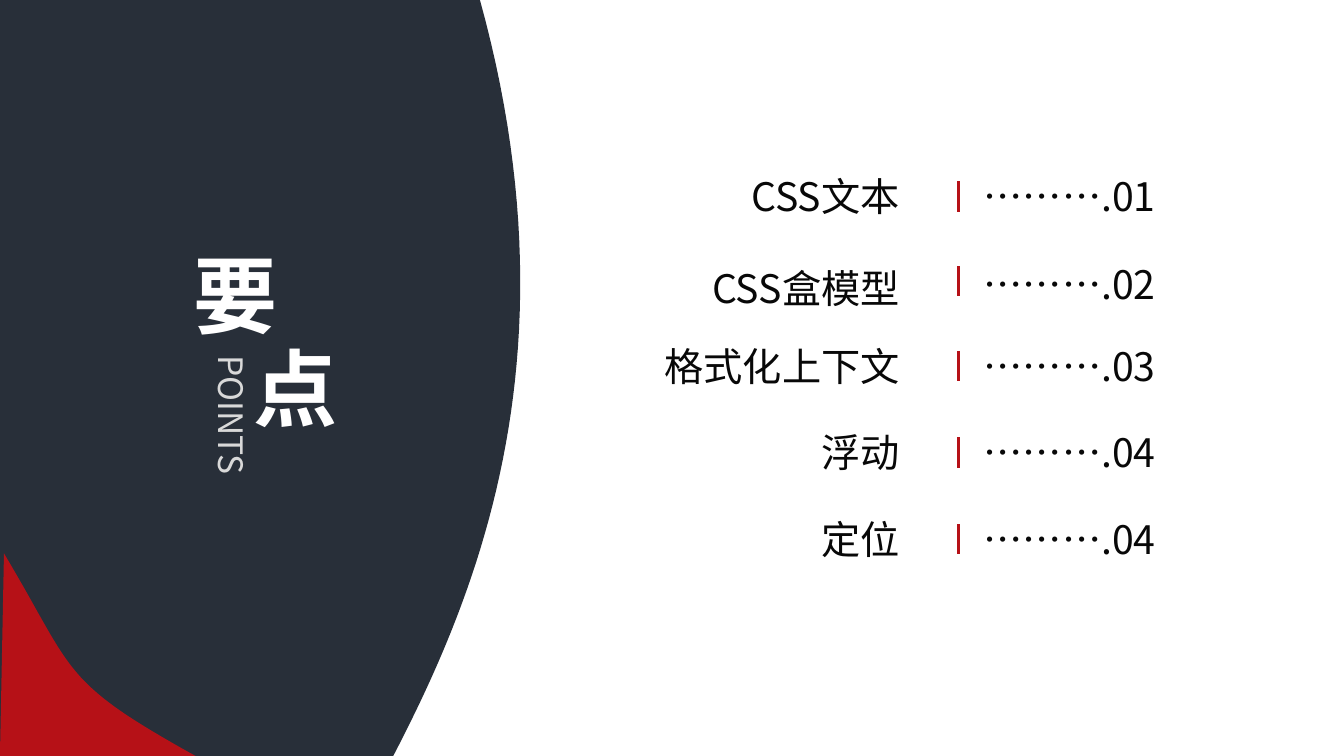
import pptx
import pptx.util
import pptx.dml.color
import pptx.enum.shapes
import pptx.enum.text
import pptx.oxml
import pptx.oxml.ns
from pptx.util import Inches

COLORS = {
    "paper": "FFFFFF",
    "navy": "282F39",
    "red": "B61117",
    "ink": "080808",
    "grey": "D9D9D9",
}
FONT = "Noto Sans CJK SC"
ALIGN = pptx.enum.text.PP_ALIGN

LABEL_RIGHT = 9.02
BAR_X = 9.51
BAR_LENGTH = 0.3
# label, number, label left, label top, bar top, number top
POINTS = [
    ("CSS文本", "01", 6.04, 1.66, 1.8, 1.66),
    ("CSS盒模型", "02", 6.45, 2.57, 2.64, 2.53),
    ("格式化上下文", "03", 4.81, 3.35, 3.48, 3.35),
    ("浮动", "04", 6.04, 4.2, 4.34, 4.2),
    ("定位", "04", 6.04, 5.06, 5.2, 5.06),
]


def color(name):
    return pptx.dml.color.RGBColor.from_string(COLORS[name])


def curve(start, control_a, control_b, end, steps=48):
    """Return points along a cubic Bezier curve, without its start."""
    points = []
    for step in range(1, steps + 1):
        t = step / steps
        weights = ((1 - t) ** 3, 3 * t * (1 - t) ** 2, 3 * t * t * (1 - t), t ** 3)
        corners = (start, control_a, control_b, end)
        points.append(tuple(
            sum(weight * corner[axis] for weight, corner in zip(weights, corners))
            for axis in (0, 1)
        ))
    return points


def add_panel(page, points, fill):
    vertices = [(Inches(x), Inches(y)) for x, y in points]
    builder = page.shapes.build_freeform(*vertices[0])
    builder.add_line_segments(vertices[1:], close=True)
    panel = builder.convert_to_shape()
    panel.shadow.inherit = False
    panel.fill.solid()
    panel.fill.fore_color.rgb = color(fill)
    panel.line.fill.background()


def write(box, text, size, ink, align=ALIGN.LEFT, bold=False, wrap=True):
    frame = box.text_frame
    frame_format = {
        "word_wrap": wrap,
        "auto_size": pptx.enum.text.MSO_AUTO_SIZE.SHAPE_TO_FIT_TEXT,
        "vertical_anchor": pptx.enum.text.MSO_ANCHOR.TOP,
    }
    for name, value in frame_format.items():
        setattr(frame, name, value)
    para = frame.paragraphs[0]
    para.alignment = align
    span = para.add_run()
    span.text = text
    span_format = {"name": FONT, "size": pptx.util.Pt(size), "bold": bold}
    for name, value in span_format.items():
        setattr(span.font, name, value)
    span.font.color.rgb = color(ink)
    properties = span.font._element
    properties.set("lang", "zh-CN")
    east_asian = pptx.oxml.parse_xml(
        f'<a:ea {pptx.oxml.ns.nsdecls("a")} typeface="{FONT}"/>')
    properties.find(pptx.oxml.ns.qn("a:latin")).addnext(east_asian)
    return span


def add_text(page, place, *content, **style):
    box = page.shapes.add_textbox(*map(Inches, place))
    write(box, *content, **style)
    return box


def place_title(page, place, text):
    title = page.shapes.title
    for name, value in zip(("left", "top", "width", "height"), place):
        setattr(title, name, Inches(value))
    span = write(title, text, 60, "paper", bold=True)
    span.font._element.set("spc", "400")
    page.shapes._spTree.append(title._element)  # bring in front of the panels


def add_bar(page, top):
    bar = page.shapes.add_connector(
        pptx.enum.shapes.MSO_CONNECTOR.STRAIGHT,
        Inches(BAR_X), Inches(top), Inches(BAR_X), Inches(top + BAR_LENGTH))
    bar.line.color.rgb = color("red")
    bar.line.width = pptx.util.Pt(2.25)
    bar._element.spPr.append(
        pptx.oxml.parse_xml(f'<a:effectLst {pptx.oxml.ns.nsdecls("a")}/>'))


def add_point(page, label, number, left, label_top, bar_top, number_top):
    add_text(page, (left, label_top, LABEL_RIGHT - left, 0.57),
             label, 28, "ink", align=ALIGN.RIGHT)
    add_bar(page, bar_top)
    add_text(page, (9.66, number_top, 2.03, 0.57), f"……….{number}", 28, "ink")


def main():
    deck = pptx.Presentation()
    deck.slide_width, deck.slide_height = Inches(13.33), Inches(7.5)
    page = deck.slides.add_slide(deck.slide_layouts.get_by_name("Title Only"))
    page.background.fill.solid()
    page.background.fill.fore_color.rgb = color("paper")

    edge = curve((4.76, 0), (5.71, 3.44), (4.78, 5.81), (3.9, 7.5))
    add_panel(page, [(0, 0), (4.76, 0), *edge, (0, 7.5)], "navy")
    slope = curve((0.04, 5.49), (0.75, 6.68), (0.59, 6.75), (1.94, 7.5))
    add_panel(page, [(0.04, 5.49), *slope, (0, 7.5)], "red")

    place_title(page, (1.82, 2.37, 1.97, 1.11), "要")
    add_text(page, (2.42, 3.29, 0.94, 1.11), "点", 60, "paper", bold=True)
    subtitle = add_text(page, (1.94, 3.43, 0.61, 1.34), "POINTS", 24, "grey", wrap=False)
    subtitle.text_frame._txBody.bodyPr.set("vert", "eaVert")

    for point in POINTS:
        add_point(page, *point)
    deck.save("out.pptx")


if __name__ == "__main__":
    main()
